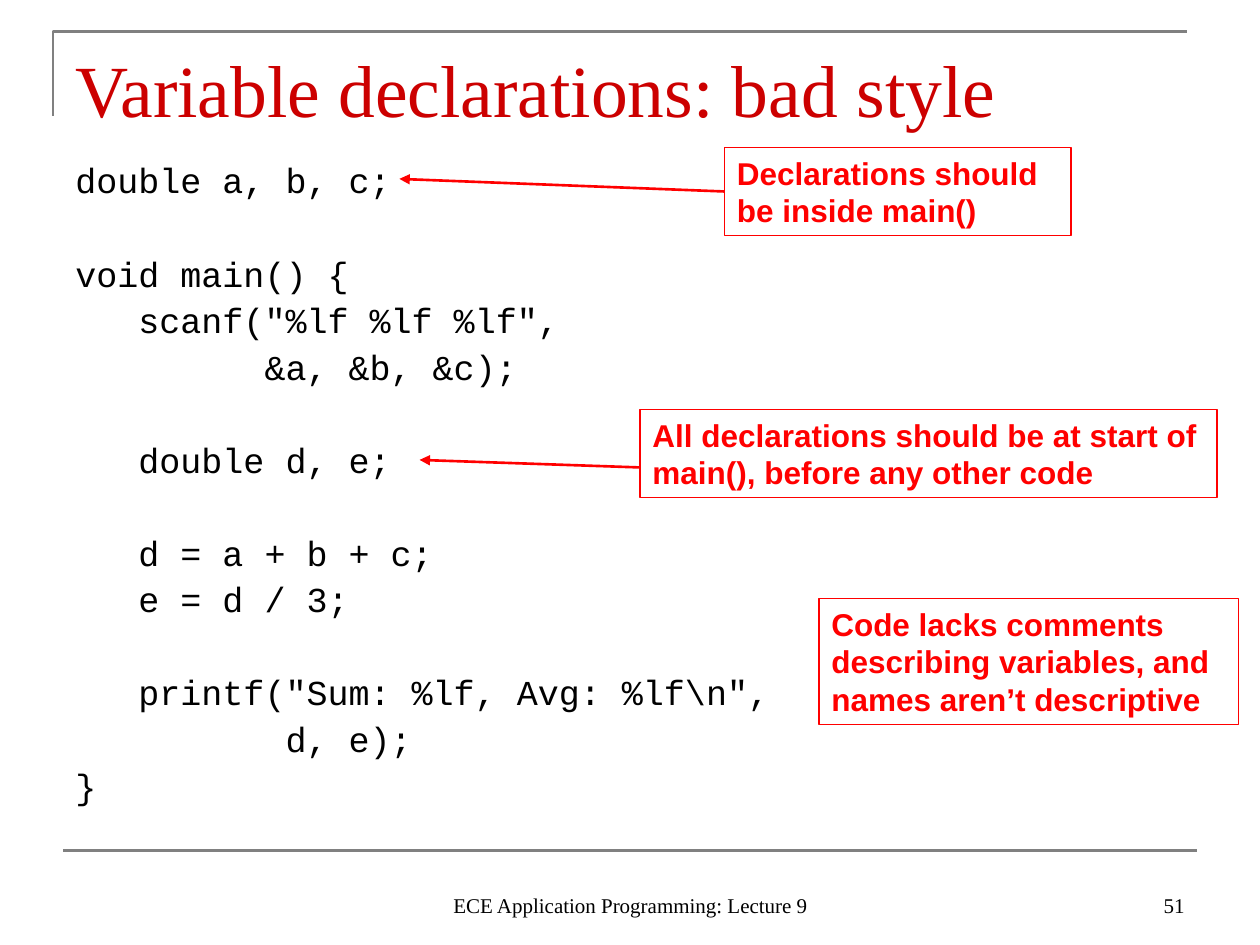
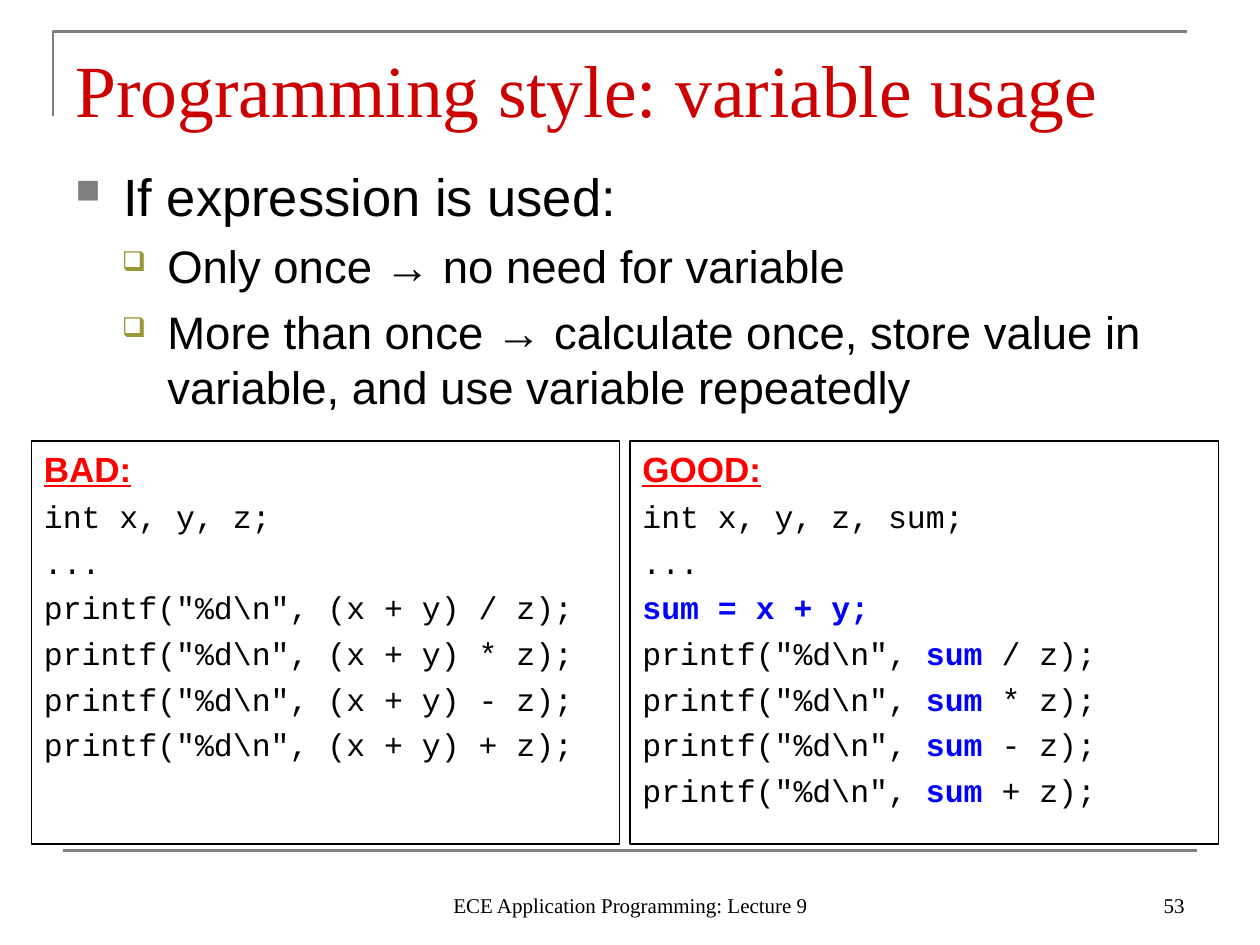
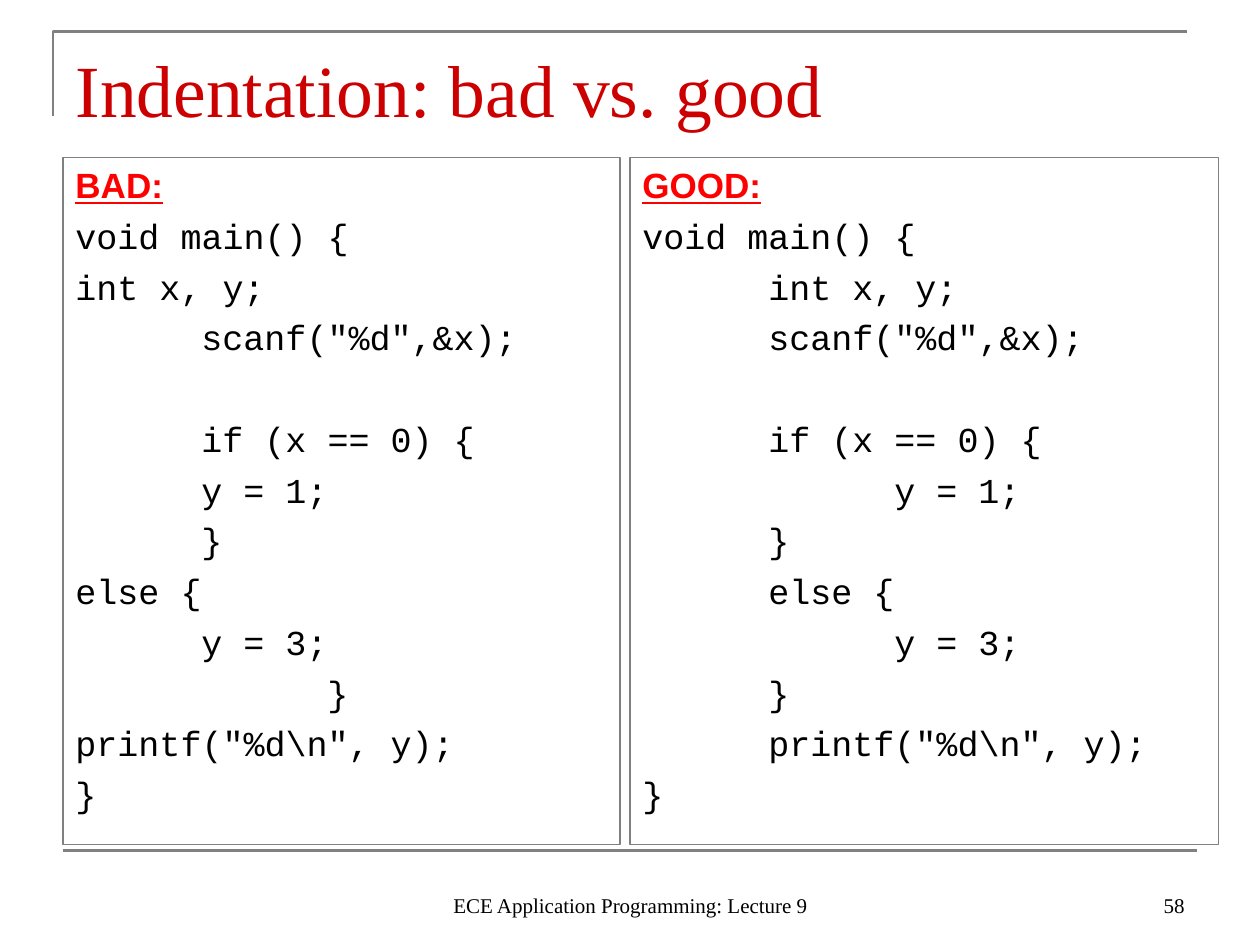
from lxml.etree import SubElement
from pptx import Presentation
from pptx.dml.color import RGBColor
from pptx.enum.dml import MSO_LINE
from pptx.enum.shapes import MSO_CONNECTOR, MSO_SHAPE
from pptx.enum.text import MSO_ANCHOR, MSO_AUTO_SIZE, PP_ALIGN
from pptx.oxml.ns import qn
from pptx.util import Inches, Pt

BLACK = RGBColor(0x00, 0x00, 0x00)
GREY = RGBColor(0x80, 0x80, 0x80)
CRIMSON = RGBColor(0xCC, 0x00, 0x00)
RED = RGBColor(0xFF, 0x00, 0x00)
BLUE = RGBColor(0x00, 0x00, 0xFF)
OLIVE = RGBColor(0x99, 0x99, 0x33)

TITLE = dict(name="Times New Roman", size=Pt(42), color=CRIMSON)
FOOT = dict(name="Times New Roman", size=Pt(12), color=BLACK)
BODY = dict(name="Arial", size=Pt(26), color=BLACK)
NOTE = dict(name="Arial", size=Pt(18), color=RED, bold=True)
HEAD = dict(name="Arial", size=Pt(20), color=RED, bold=True, underline=True)
CODE = dict(name="Courier New", size=Pt(20), color=BLACK)
SMALL = dict(CODE, size=Pt(18))
HOT = dict(color=BLUE, bold=True)

LEFT, WIDE = 0.5, 9
TOP, BASE = 1.25, 6.7
RIGHT, HALF = 5, 4.67
GAP = 0.08


def write(frame, lines, form, head=None, lead=None, align=PP_ALIGN.LEFT,
          anchor=MSO_ANCHOR.TOP):
    """Fill a frame; an empty line widens the next gap, bars enclose hot code."""
    settings = dict(word_wrap=True, auto_size=MSO_AUTO_SIZE.NONE,
                    vertical_anchor=anchor)
    for key, value in settings.items():
        setattr(frame, key, value)
    space = form["size"].pt / 4
    blank = form["size"].pt * 1.2 * (lead or 1) + space
    skip = 0
    para = None
    for line in lines:
        if not line:
            skip += blank
            continue
        first = para is None
        para = frame.paragraphs[0] if first else frame.add_paragraph()
        if "\t" in line:
            tabs = SubElement(para._p.get_or_add_pPr(), qn("a:tabLst"))
            for stop in (1, 2):
                SubElement(tabs, qn("a:tab"), pos=str(Inches(stop)), algn="l")
        para.alignment = align
        if lead:
            para.line_spacing = lead
        if not first:
            para.space_before = Pt(space + skip)
        skip = 0
        base = head if first and head else form
        for spot, part in enumerate(line.split("|")):
            if not part:
                continue
            run = para.add_run()
            run.text = part
            for key, value in {**base, **(HOT if spot % 2 else {})}.items():
                if key == "color":
                    run.font.color.rgb = value
                else:
                    setattr(run.font, key, value)


def draw(slide, start, end, color):
    line = slide.shapes.add_connector(
        MSO_CONNECTOR.STRAIGHT, *map(Inches, start + end))
    line.line.color.rgb = color
    line.line.width = Pt(1.5)
    SubElement(line._element.spPr, qn("a:effectLst"))
    return line


deck = Presentation()
deck.slide_width, deck.slide_height = Inches(10), Inches(7.5)

# Shared frame, title and footer
slides = []
for title, number in (("Variable declarations: bad style", 51),
                      ("Programming style: variable usage", 53),
                      ("Indentation: bad vs. good", 58)):
    slide = deck.slides.add_slide(deck.slide_layouts[5])
    slides.append(slide)
    pen = slide.shapes.build_freeform(Inches(0.42), Inches(0.92))
    pen.add_line_segments([(Inches(0.42), Inches(0.25)),
                           (Inches(9.42), Inches(0.25))], close=False)
    edge = pen.convert_to_shape()
    edge.shadow.inherit = False
    edge.fill.background()
    edge.line.color.rgb = GREY
    edge.line.width = Pt(1.5)
    draw(slide, (LEFT, 6.75), (LEFT + WIDE, 6.75), GREY)

    name = slide.shapes.title
    place = dict(left=LEFT, top=0.3, width=WIDE, height=0.78)
    for key, value in place.items():
        setattr(name, key, Inches(value))
    write(name.text_frame, [title], TITLE)

    for left, width, text, align in (
            (3.42, 3.17, "ECE Application Programming: Lecture 9", PP_ALIGN.CENTER),
            (7.17, 2.33, str(number), PP_ALIGN.RIGHT)):
        box = slide.shapes.add_textbox(*map(Inches, (left, 6.83, width, 0.5)))
        write(box.text_frame, [text], FOOT, align=align, anchor=MSO_ANCHOR.BOTTOM)

style, usage, indent = slides

# Variable declarations
source = r'''double a, b, c;

void main() {
   scanf("%lf %lf %lf",
         &a, &b, &c);

   double d, e;

   d = a + b + c;
   e = d / 3;

   printf("Sum: %lf, Avg: %lf\n",
          d, e);
}'''
box = style.shapes.add_textbox(*map(Inches, (LEFT, TOP, 6.17, BASE - TOP)))
write(box.text_frame, source.split("\n"), CODE, lead=0.9)

for start, end in (((5.75, 1.52), (3.17, 1.42)), ((5.08, 3.71), (3.33, 3.65))):
    arrow = draw(style, start, end, RED)
    SubElement(arrow.line._get_or_add_ln(), qn("a:tailEnd"), type="triangle")

# Bulleted advice
points = (
    ("If expression is used:", 0, 30, 0.38, 0.38, "■", GREY, 65),
    ("Only once → no need for variable", 1, 26, 0.73, 0.36, "❑", OLIVE, 60),
    ("More than once → calculate once, store value in variable, "
     "and use variable repeatedly", 1, 26, 0.73, 0.36, "❑", OLIVE, 60),
)
box = usage.shapes.add_textbox(*map(Inches, (LEFT, TOP, WIDE, 2.25)))
write(box.text_frame, [point[0] for point in points], BODY)
for para, point in zip(box.text_frame.paragraphs, points):
    text, level, size, margin, hang, mark, color, scale = point
    para.level = level
    para.runs[0].font.size = Pt(size)
    props = para._p.get_or_add_pPr()
    props.set("marL", str(Inches(margin)))
    props.set("indent", str(-Inches(hang)))
    tint = SubElement(props, qn("a:buClr"))
    SubElement(tint, qn("a:srgbClr"), val=str(color))
    SubElement(props, qn("a:buSzPct"), val=str(scale * 1000))
    SubElement(props, qn("a:buChar"), char=mark)

# Code panels and callouts
bad_sum = ["BAD:", "int x, y, z;", "..."]
good_sum = ["GOOD:", "int x, y, z, sum;", "...", "|sum = x + y;"]
for sign in "/*-+":
    bad_sum.append(rf'printf("%d\n", (x + y) {sign} z);')
    good_sum.append(rf'printf("%d\n", |sum |{sign} z);')

bad_tabs = ["BAD:", "void main() {", "int x, y;", '\tscanf("%d",&x);', "",
            "\tif (x == 0) {", "\ty = 1;", "\t}", "else {", "\ty = 3;",
            "\t\t}", r'printf("%d\n", y);', "}"]
good_tabs = ["GOOD:", "void main() {", "\tint x, y;", '\tscanf("%d",&x);', "",
             "\tif (x == 0) {", "\t\ty = 1;", "\t}", "\telse {", "\t\ty = 3;",
             "\t}", "\t" + r'printf("%d\n", y);', "}"]

END = RIGHT - GAP
for slide, place, lines, form, head, color in (
        (style, (5.75, 1.17, 2.75, 0.7),
         ["Declarations should be inside main()"], NOTE, None, RED),
        (style, (5.08, 3.25, 4.58, 0.7),
         ["All declarations should be at start of main(), before any other code"],
         NOTE, None, RED),
        (style, (6.5, 4.75, 3.33, 1),
         ["Code lacks comments describing variables, and names aren’t descriptive"],
         NOTE, None, RED),
        (usage, (END - HALF, 3.5, HALF, BASE - 3.5), bad_sum, SMALL, HEAD, BLACK),
        (usage, (RIGHT, 3.5, HALF, BASE - 3.5), good_sum, SMALL, HEAD, BLACK),
        (indent, (LEFT, TOP, END - LEFT, BASE - TOP), bad_tabs, CODE, HEAD, GREY),
        (indent, (RIGHT, TOP, HALF, BASE - TOP), good_tabs, CODE, HEAD, GREY)):
    panel = slide.shapes.add_shape(MSO_SHAPE.RECTANGLE, *map(Inches, place))
    panel.shadow.inherit = False
    panel.fill.background()
    panel.line.color.rgb = color
    panel.line.width = Pt(0.75)
    panel.line.dash_style = MSO_LINE.SOLID
    write(panel.text_frame, lines, form, head)

deck.save("out.pptx")
